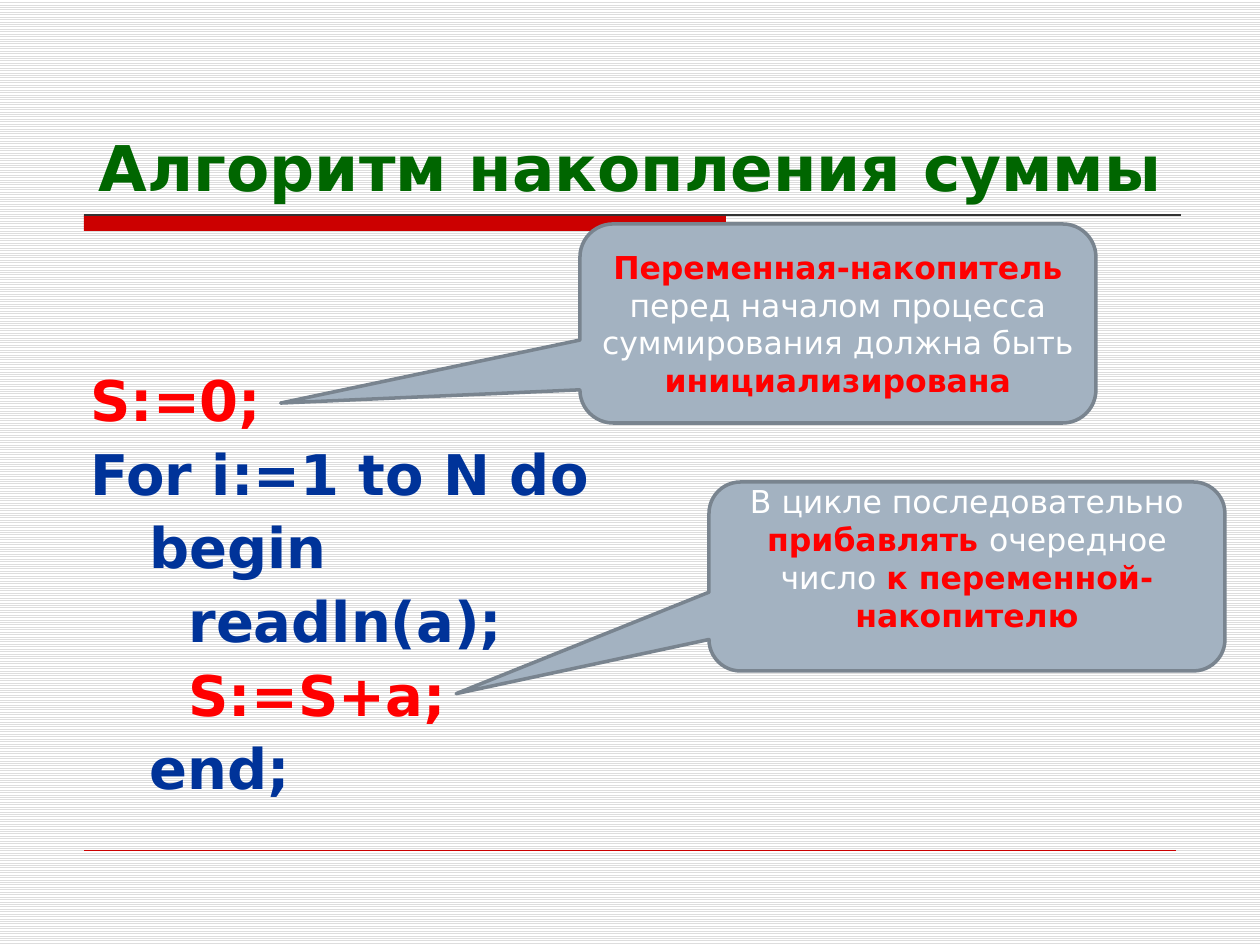
"""Build the slide about accumulating a sum in a loop."""
from dataclasses import dataclass

from pptx import Presentation
from pptx.dml.color import RGBColor
from pptx.enum.dml import MSO_PATTERN
from pptx.enum.shapes import MSO_CONNECTOR, MSO_SHAPE
from pptx.enum.text import MSO_ANCHOR, PP_ALIGN
from pptx.oxml.ns import qn
from pptx.slide import Slide
from pptx.util import Emu, Pt
from lxml.etree import SubElement

FONT = "DejaVu Sans"
WHITE = RGBColor(0xFF, 0xFF, 0xFF)
STRIPE = RGBColor(0xDD, 0xDD, 0xDD)
GREEN = RGBColor(0x00, 0x66, 0x00)
BLUE = RGBColor(0x00, 0x33, 0x99)
RED = RGBColor(0xFF, 0x00, 0x00)
BAR_RED = RGBColor(0xCC, 0x00, 0x00)
RULE_DARK = RGBColor(0x33, 0x33, 0x33)
CALLOUT_FILL = RGBColor(0xA3, 0xB2, 0xC1)
CALLOUT_LINE = RGBColor(0x79, 0x84, 0x8F)
INDENT_STEP = 39
FIRST_INDENT = 59


@dataclass(frozen=True)
class Box:
    left: int
    top: int
    width: int
    height: int


@dataclass(frozen=True)
class CodeLine:
    text: str
    indent: int = 0
    color: RGBColor = BLUE


@dataclass(frozen=True)
class Span:
    text: str
    strong: bool = False


@dataclass(frozen=True)
class Callout:
    box: Box
    tip: tuple[float, float]
    spans: tuple[Span, ...]
    margin_top: int = 6
    margin_bottom: int = 6


CODE_BOX = Box(78, 367, 1103, 463)
CODE = (
    CodeLine("S:=0;", color=RED),
    CodeLine("For i:=1 to N do"),
    CodeLine("begin", FIRST_INDENT),
    CodeLine("readln(a);", FIRST_INDENT + INDENT_STEP),
    CodeLine("S:=S+a;", FIRST_INDENT + INDENT_STEP, RED),
    CodeLine("end;", FIRST_INDENT),
)
CALLOUTS = (
    Callout(
        Box(709, 482, 516, 189),
        (-0.99, 0.62),
        (
            Span("В цикле последовательно "),
            Span("прибавлять ", True),
            Span("очередное число "),
            Span("к переменной-накопителю", True),
        ),
        margin_top=0,
        margin_bottom=37,
    ),
    Callout(
        Box(580, 224, 516, 199),
        (-1.08, 0.4),
        (
            Span("Переменная-накопитель ", True),
            Span("перед началом процесса суммирования должна быть "),
            Span("инициализирована", True),
        ),
    ),
)


def px(length: int) -> Emu:
    """Turn pixels at 126 to the inch into EMU."""
    return Emu(round(length * 914400 / 126))


def place(box: Box) -> tuple[Emu, ...]:
    """Return left, top, width and height in EMU."""
    return px(box.left), px(box.top), px(box.width), px(box.height)


def add_title(page: Slide, text: str) -> None:
    """Move and format the title placeholder."""
    title = page.shapes.title
    title.left, title.top, title.width, title.height = place(Box(79, 42, 1103, 168))
    frame = title.text_frame
    frame.text = text
    frame.word_wrap = True
    frame.vertical_anchor = MSO_ANCHOR.BOTTOM
    para = frame.paragraphs[0]
    para.alignment = PP_ALIGN.CENTER
    para.font.name, para.font.size, para.font.bold = FONT, Pt(36), True
    para.font.color.rgb = GREEN


def add_rule(page: Slide, left: int, right: int, top: int, color: RGBColor, width: float) -> None:
    """Draw a thin horizontal line."""
    rule = page.shapes.add_connector(MSO_CONNECTOR.STRAIGHT, px(left), px(top), px(right), px(top))
    rule.line.color.rgb = color
    rule.line.width = Pt(width)
    SubElement(rule._element.spPr, qn("a:effectLst"))


def add_bar(page: Slide, box: Box) -> None:
    """Draw the solid bar under the title."""
    bar = page.shapes.add_shape(MSO_SHAPE.RECTANGLE, *place(box))
    bar.shadow.inherit = False
    bar.fill.solid()
    bar.fill.fore_color.rgb = BAR_RED
    bar.line.fill.background()


def add_code(page: Slide, box: Box, lines: tuple[CodeLine, ...]) -> None:
    """Write the program, one paragraph a line."""
    frame = page.shapes.add_textbox(*place(box)).text_frame
    frame.word_wrap = True
    for number, line in enumerate(lines):
        para = frame.add_paragraph() if number else frame.paragraphs[0]
        para.text = line.text
        para.line_spacing = 0.9
        para.space_before = Pt(7.5)
        para.font.name, para.font.size, para.font.bold = FONT, Pt(32), True
        para.font.color.rgb = line.color
        para._p.get_or_add_pPr().set("marL", str(px(line.indent)))


def add_callout(page: Slide, callout: Callout) -> None:
    """Draw a rounded callout with its explanation."""
    shape = page.shapes.add_shape(MSO_SHAPE.ROUNDED_RECTANGULAR_CALLOUT, *place(callout.box))
    shape.adjustments[0], shape.adjustments[1] = callout.tip
    shape.shadow.inherit = False
    shape.fill.solid()
    shape.fill.fore_color.rgb = CALLOUT_FILL
    shape.line.color.rgb = CALLOUT_LINE
    shape.line.width = Pt(2)
    frame = shape.text_frame
    frame.word_wrap = True
    frame.vertical_anchor = MSO_ANCHOR.MIDDLE
    frame.margin_top, frame.margin_bottom = px(callout.margin_top), px(callout.margin_bottom)
    para = frame.paragraphs[0]
    para.alignment = PP_ALIGN.CENTER
    para.font.name, para.font.size = FONT, Pt(18)
    for span in callout.spans:
        run = para.add_run()
        run.text = span.text
        run.font.name, run.font.size, run.font.bold = FONT, Pt(18), span.strong
        run.font.color.rgb = RED if span.strong else WHITE


def main() -> None:
    """Build and save the deck."""
    deck = Presentation()
    deck.slide_width, deck.slide_height = px(1260), px(945)
    page = deck.slides.add_slide(deck.slide_layouts[5])
    backdrop = page.background.fill
    backdrop.patterned()
    backdrop.pattern = MSO_PATTERN.LIGHT_HORIZONTAL
    backdrop.fore_color.rgb = STRIPE
    backdrop.back_color.rgb = WHITE
    add_title(page, "Алгоритм накопления суммы")
    add_bar(page, Box(84, 215, 642, 16))
    add_rule(page, 84, 1181, 215, RULE_DARK, 0.75)
    add_rule(page, 84, 1176, 850, BAR_RED, 0.25)
    add_code(page, CODE_BOX, CODE)
    for callout in CALLOUTS:
        add_callout(page, callout)
    deck.save("out.pptx")


if __name__ == "__main__":
    main()
